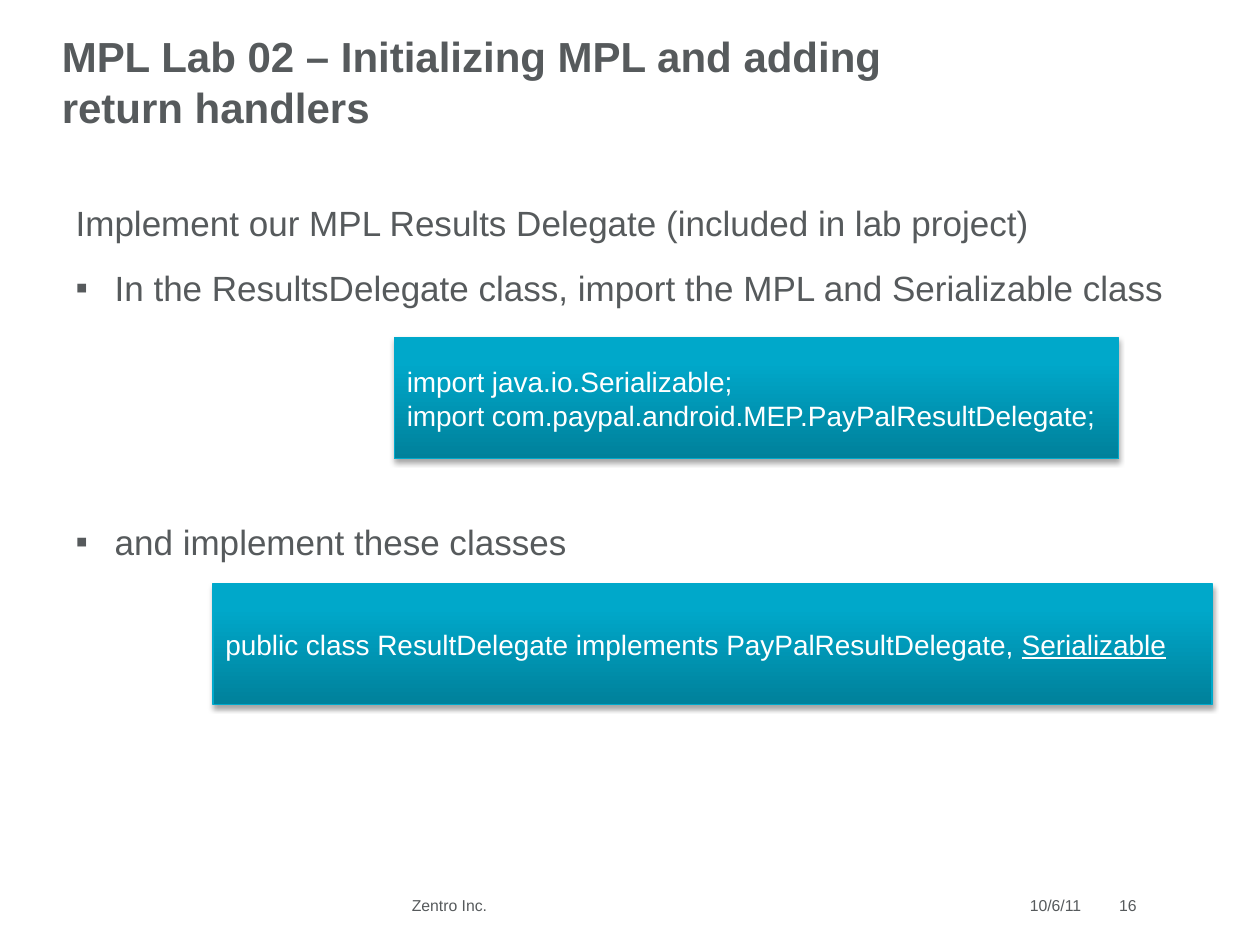
from lxml import etree
from pptx import Presentation
from pptx.dml.color import RGBColor
from pptx.enum.shapes import MSO_SHAPE
from pptx.enum.text import MSO_ANCHOR, MSO_AUTO_SIZE, PP_ALIGN
from pptx.oxml import parse_xml
from pptx.oxml.ns import nsdecls, qn
from pptx.util import Inches, Pt

COLORS = {"text": "565A5C", "code": "FFFFFF", "deep": "00819B",
          "bright": "00A8CA", "edge": "00A9CB", "shadow": "000000"}
FONT = "Arial"
TITLE = "MPL Lab 02 – Initializing MPL and adding return handlers"
STEPS = [
    ("Implement our MPL Results Delegate (included in lab project)", "", 0),
    ("In the ResultsDelegate class, import the MPL and Serializable class", "▪", 7),
    ("and implement these classes", "▪", 115),
]
CODE_PANELS = [
    (3.13, 2.68, 5.75, [[("import java.io.Serializable;", False)],
                        [("import com.paypal.android.MEP.PayPalResultDelegate;", False)]]),
    (1.69, 4.63, 7.93, [[("public class ResultDelegate implements PayPalResultDelegate, ", False),
                         ("Serializable", True)]]),
]
PANEL_HEIGHT = 0.96
FOOTERS = [
    ("10/6/11", 7.31, 1.37, PP_ALIGN.RIGHT),
    ("Zentro Inc.", 3.17, 3.17, PP_ALIGN.LEFT),
    ("16", 8.66, 0.46, PP_ALIGN.RIGHT),
]
GRADIENT = [(0, "deep"), (80, "bright"), (100, "bright")]


def place(part, left, top, width, height):
    part.left, part.top = Inches(left), Inches(top)
    part.width, part.height = Inches(width), Inches(height)


def set_font(paragraph, size, color="text", bold=False):
    font = paragraph.font
    font.name, font.size, font.bold = FONT, Pt(size), bold
    font.color.rgb = RGBColor.from_string(COLORS[color])


def set_frame(frame, anchor):
    frame.word_wrap = True
    frame.auto_size = MSO_AUTO_SIZE.NONE
    frame.vertical_anchor = anchor


def set_bullet(paragraph, bullet):
    props = paragraph._p.get_or_add_pPr()
    indent = Inches(0.31) if bullet else 0
    props.set("marL", str(indent))
    props.set("indent", str(-indent))
    if bullet:
        etree.SubElement(props, qn("a:buFont")).set("typeface", FONT)
        etree.SubElement(props, qn("a:buChar")).set("char", bullet)
    else:
        etree.SubElement(props, qn("a:buNone"))


def style_panel(panel):
    panel.line.color.rgb = RGBColor.from_string(COLORS["edge"])
    panel.line.width = Pt(0.75)
    stops = "".join(f'<a:gs pos="{pos * 1000}"><a:srgbClr val="{COLORS[name]}"/></a:gs>'
                    for pos, name in GRADIENT)
    panel._element.spPr.find(qn("a:ln")).addprevious(parse_xml(
        f'<a:gradFill {nsdecls("a")} rotWithShape="1"><a:gsLst>{stops}</a:gsLst>'
        '<a:lin ang="16200000" scaled="0"/></a:gradFill>'))
    panel.shadow.inherit = False
    panel._element.spPr.find(qn("a:effectLst")).append(parse_xml(
        f'<a:outerShdw {nsdecls("a")} blurRad="{Pt(3.1)}" dist="{Pt(1.8)}" dir="5400000"'
        f' rotWithShape="0"><a:srgbClr val="{COLORS["shadow"]}">'
        '<a:alpha val="35000"/></a:srgbClr></a:outerShdw>'))


def add_panel(slide, left, top, width, lines):
    panel = slide.shapes.add_shape(MSO_SHAPE.RECTANGLE, Inches(left), Inches(top),
                                   Inches(width), Inches(PANEL_HEIGHT))
    style_panel(panel)
    frame = panel.text_frame
    set_frame(frame, MSO_ANCHOR.MIDDLE)
    for i, line in enumerate(lines):
        paragraph = frame.add_paragraph() if i else frame.paragraphs[0]
        paragraph.alignment = PP_ALIGN.LEFT
        set_font(paragraph, 16, "code")
        for text, underlined in line:
            run = paragraph.add_run()
            run.text = text
            if underlined:
                run.font.underline = True


def main():
    deck = Presentation()
    deck.slide_width, deck.slide_height = Inches(10), Inches(7.5)
    slide = deck.slides.add_slide(deck.slide_layouts[1])

    title = slide.shapes.title
    place(title, 0.39, 0.23, 7.4, 0.83)
    set_frame(title.text_frame, MSO_ANCHOR.MIDDLE)
    title.text_frame.text = TITLE
    heading = title.text_frame.paragraphs[0]
    heading.alignment = PP_ALIGN.LEFT
    set_font(heading, 24, bold=True)

    body = slide.placeholders[1]
    place(body, 0.5, 1.55, 9, 4.78)
    set_frame(body.text_frame, MSO_ANCHOR.TOP)
    for i, (text, bullet, before) in enumerate(STEPS):
        step = body.text_frame.add_paragraph() if i else body.text_frame.paragraphs[0]
        step.text = text
        step.space_before, step.space_after = Pt(before), Pt(6)
        set_bullet(step, bullet)
        set_font(step, 20)

    for text, left, width, alignment in FOOTERS:
        footer = slide.shapes.add_textbox(Inches(left), Inches(7.08), Inches(width), Inches(0.23))
        set_frame(footer.text_frame, MSO_ANCHOR.BOTTOM)
        footer.text_frame.text = text
        label = footer.text_frame.paragraphs[0]
        label.alignment = alignment
        set_font(label, 9)

    for panel in CODE_PANELS:
        add_panel(slide, *panel)

    deck.save("out.pptx")


if __name__ == "__main__":
    main()
